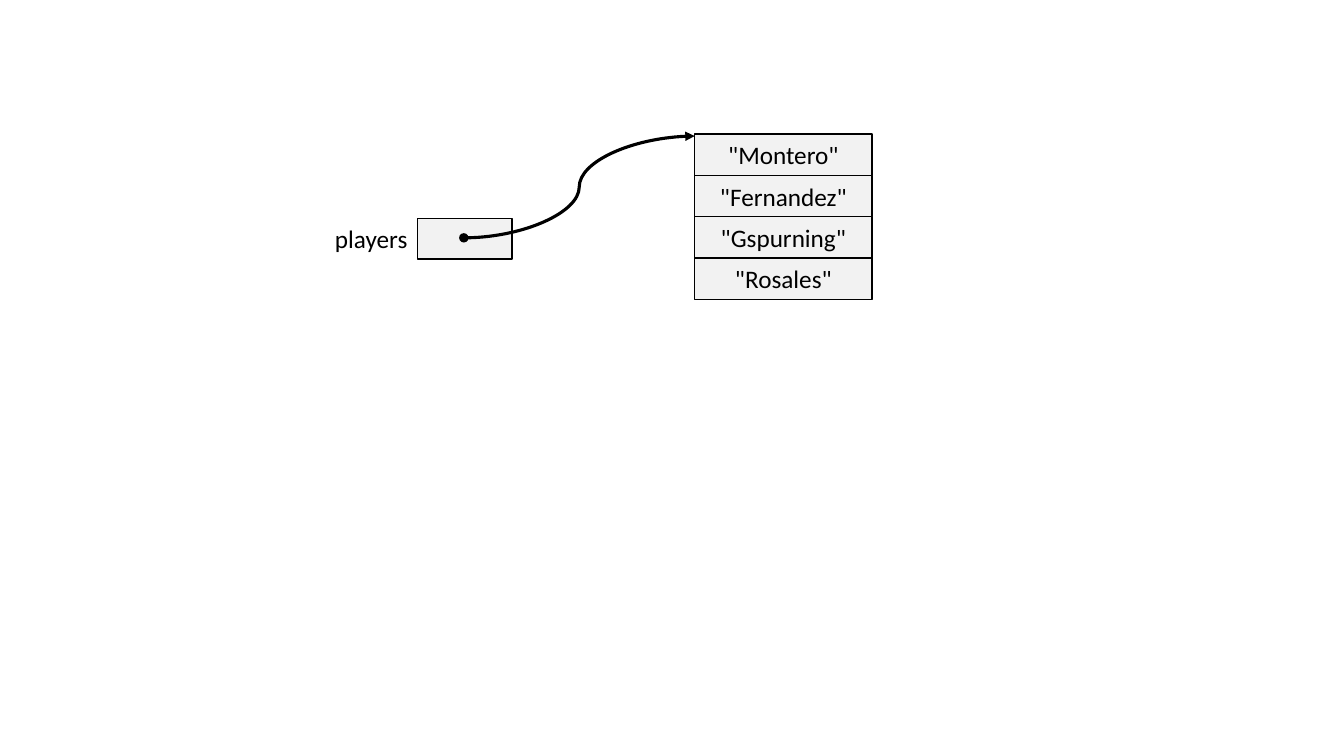
from dataclasses import dataclass

from lxml.etree import SubElement
from pptx import Presentation
from pptx.dml.color import RGBColor
from pptx.enum.shapes import MSO_CONNECTOR, MSO_SHAPE
from pptx.enum.text import MSO_ANCHOR as Anchor, PP_ALIGN as Align
from pptx.oxml.ns import qn
from pptx.shapes.autoshape import Shape
from pptx.shapes.connector import Connector
from pptx.slide import Slide
from pptx.util import Inches, Pt

BLACK = RGBColor(0x00, 0x00, 0x00)
CELL_GRAY = RGBColor(0xF2, 0xF2, 0xF2)
FONT_FORMAT = {"name": "Calibri", "size": Pt(18)}
ARROW_ENDS = {"a:headEnd": "oval", "a:tailEnd": "triangle"}
PLAYERS = ['"Montero"', '"Fernandez"', '"Gspurning"', '"Rosales"']
LIST_LEFT, LIST_TOP, LIST_WIDTH, ROW_HEIGHT = 6.89, 1.33, 1.76, 0.41


@dataclass(frozen=True)
class Box:
    """A rectangle on the slide, in inches."""
    left: float
    top: float
    width: float
    height: float

    def lengths(self) -> list[Inches]:
        """Return the four lengths in slide units."""
        return [Inches(v) for v in (self.left, self.top, self.width, self.height)]


def write(holder: Shape, text: str, align: Align, anchor: Anchor) -> None:
    """Put one formatted line of text in a shape."""
    frame = holder.text_frame
    frame.word_wrap = True
    frame.vertical_anchor = anchor
    paragraph = frame.paragraphs[0]
    paragraph.alignment = align
    run = paragraph.add_run()
    run.text = text
    for attribute, value in FONT_FORMAT.items():
        setattr(run.font, attribute, value)
    run.font.color.rgb = BLACK


def draw_label(slide: Slide, box: Box, text: str) -> None:
    """Draw a right-aligned variable name."""
    label = slide.shapes.add_textbox(*box.lengths())
    write(label, text, Align.RIGHT, Anchor.TOP)


def draw_cell(slide: Slide, box: Box, text: str = "") -> None:
    """Draw a memory cell, with its value if it has one."""
    cell = slide.shapes.add_shape(MSO_SHAPE.RECTANGLE, *box.lengths())
    cell.shadow.inherit = False
    cell.fill.solid()
    cell.fill.fore_color.rgb = CELL_GRAY
    cell.line.color.rgb = BLACK
    cell.line.width = Pt(1)
    if text:
        write(cell, text, Align.CENTER, Anchor.MIDDLE)


def draw_reference(slide: Slide, start: tuple[float, float],
                   end: tuple[float, float]) -> Connector:
    """Draw a curved arrow from a variable to its object."""
    points = [Inches(v) for v in (*start, *end)]
    reference = slide.shapes.add_connector(MSO_CONNECTOR.CURVE, *points)
    reference.line.color.rgb = BLACK
    reference.line.width = Pt(2.25)
    properties = reference.element.spPr
    outline = properties.find(qn("a:ln"))
    for tag, ending in ARROW_ENDS.items():
        SubElement(outline, qn(tag), type=ending)
    SubElement(properties, qn("a:effectLst"))
    return reference


def main() -> None:
    """Build the slide of a variable that refers to a list."""
    deck = Presentation()
    deck.slide_width, deck.slide_height = Inches(13.33), Inches(7.5)
    slide = deck.slides.add_slide(deck.slide_layouts[6])
    draw_label(slide, Box(2.71, 2.17, 1.43, 0.4), "players")
    draw_cell(slide, Box(4.14, 2.17, 0.94, 0.4))
    draw_reference(slide, (4.6, 2.36), (LIST_LEFT, 1.35))
    for row, player in enumerate(PLAYERS):
        top = LIST_TOP + row * ROW_HEIGHT
        draw_cell(slide, Box(LIST_LEFT, top, LIST_WIDTH, ROW_HEIGHT), player)
    deck.save("out.pptx")


main()
